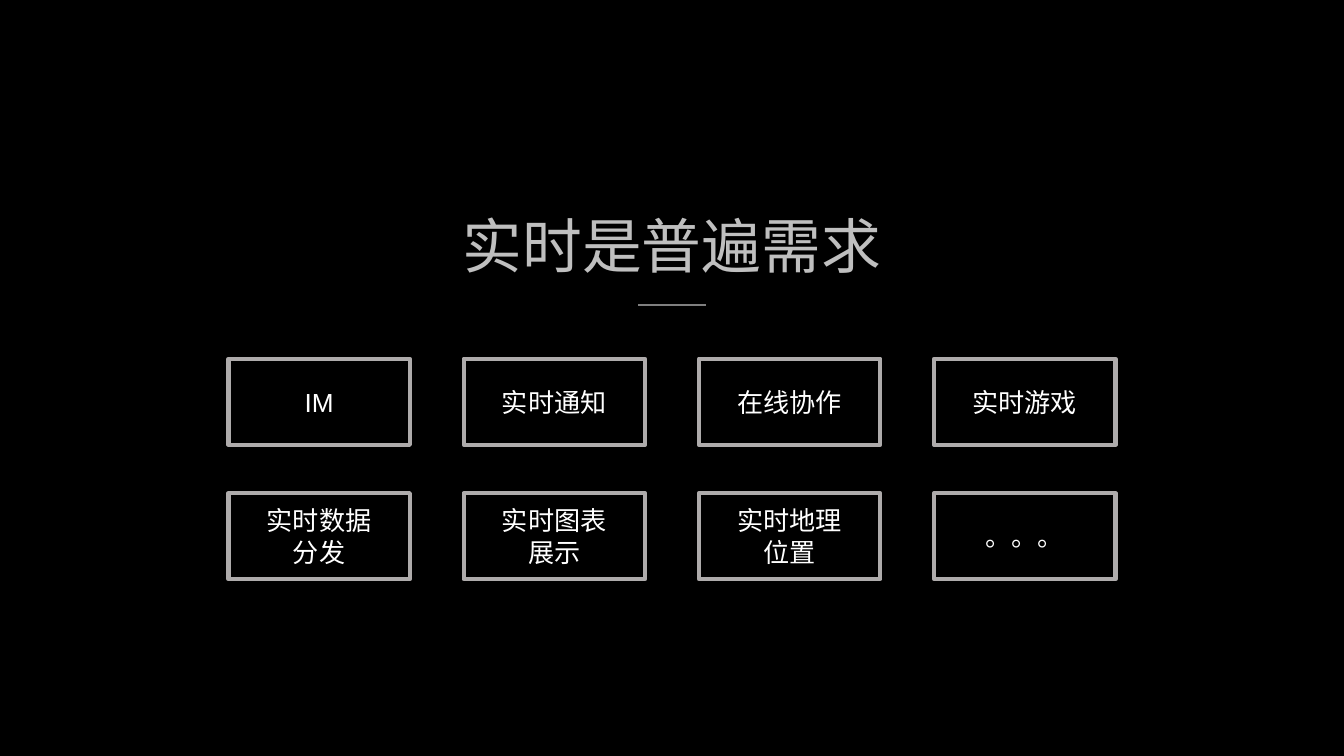
from lxml import etree
from pptx import Presentation
from pptx import util as u
from pptx.dml.color import RGBColor
from pptx.enum import shapes, text
from pptx.oxml.ns import qn

WIDTH = 10
HEIGHT = WIDTH * 9 / 16
FONT = "Arial"
COLORS = {"background": "000000", "title": "BFBFBF", "rule": "7F7F7F",
          "border": "AEABAB", "label": "FFFFFF"}
USE_CASES = [
    [["IM"], ["实时通知"], ["在线协作"], ["实时游戏"]],
    [["实时数据", "分发"], ["实时图表", "展示"], ["实时地理", "位置"], ["。。。"]],
]


def color(name):
    return RGBColor.from_string(COLORS[name])


def inches(*lengths):
    return [u.Inches(length) for length in lengths]


def write(shape, lines, size, color_name, anchor):
    """Write centred lines, one paragraph each."""
    frame = shape.text_frame
    frame.word_wrap = True
    frame.auto_size = text.MSO_AUTO_SIZE.NONE
    frame.vertical_anchor = anchor
    frame.margin_left = frame.margin_right = u.Inches(0.1)
    frame.margin_top = frame.margin_bottom = u.Inches(0.1)
    for index, line in enumerate(lines):
        paragraph = frame.add_paragraph() if index else frame.paragraphs[0]
        paragraph.alignment = text.PP_ALIGN.CENTER
        paragraph.space_before = u.Pt(0)
        run = paragraph.add_run()
        run.text = line
        run.font.size = u.Pt(size)
        run.font.color.rgb = color(color_name)
        run.font.name = FONT
        # East Asian characters take the same font
        etree.SubElement(run.font._element, qn("a:ea"), typeface=FONT)


def add_heading(slide, box, title_text):
    """Title at the bottom of the box, with a short rule just below it."""
    left, top, width, height = box
    title = slide.shapes.title
    title.left, title.top, title.width, title.height = inches(*box)
    write(title, [title_text], 32, "title", text.MSO_ANCHOR.BOTTOM)

    center, rule_y, half = left + width / 2, top + height + 0.08, width / 30
    rule = slide.shapes.add_connector(
        shapes.MSO_CONNECTOR.STRAIGHT,
        *inches(center - half, rule_y, center + half, rule_y))
    rule.line.color.rgb = color("rule")
    rule.line.width = u.Pt(1.5)
    etree.SubElement(rule._element.spPr, qn("a:effectLst"))


def add_card_grid(slide, box, rows, gap_x, gap_y):
    """Outlined cards that fill the box in equal columns and rows."""
    left, top, width, height = box
    columns = len(rows[0])
    card_width = (width - gap_x * (columns - 1)) / columns
    card_height = (height - gap_y * (len(rows) - 1)) / len(rows)
    for row, cards in enumerate(rows):
        for column, lines in enumerate(cards):
            card = slide.shapes.add_shape(
                shapes.MSO_SHAPE.RECTANGLE,
                *inches(left + column * (card_width + gap_x),
                        top + row * (card_height + gap_y),
                        card_width, card_height))
            card.shadow.inherit = False
            card.fill.background()
            card.line.color.rgb = color("border")
            card.line.width = u.Pt(2.25)
            write(card, lines, 14, "label", text.MSO_ANCHOR.MIDDLE)


def main():
    presentation = Presentation()
    presentation.slide_width, presentation.slide_height = inches(WIDTH, HEIGHT)
    slide = presentation.slides.add_slide(presentation.slide_layouts[5])
    slide.background.fill.solid()
    slide.background.fill.fore_color.rgb = color("background")

    # Heading in the upper part, use cases below
    add_heading(slide, (WIDTH / 8, 0.23, WIDTH * 0.75, 1.96), "实时是普遍需求")
    add_card_grid(slide, (WIDTH * 0.17, 2.67, WIDTH * 0.66, 1.64), USE_CASES,
                  gap_x=0.4, gap_y=0.36)

    presentation.save("out.pptx")


if __name__ == "__main__":
    main()
